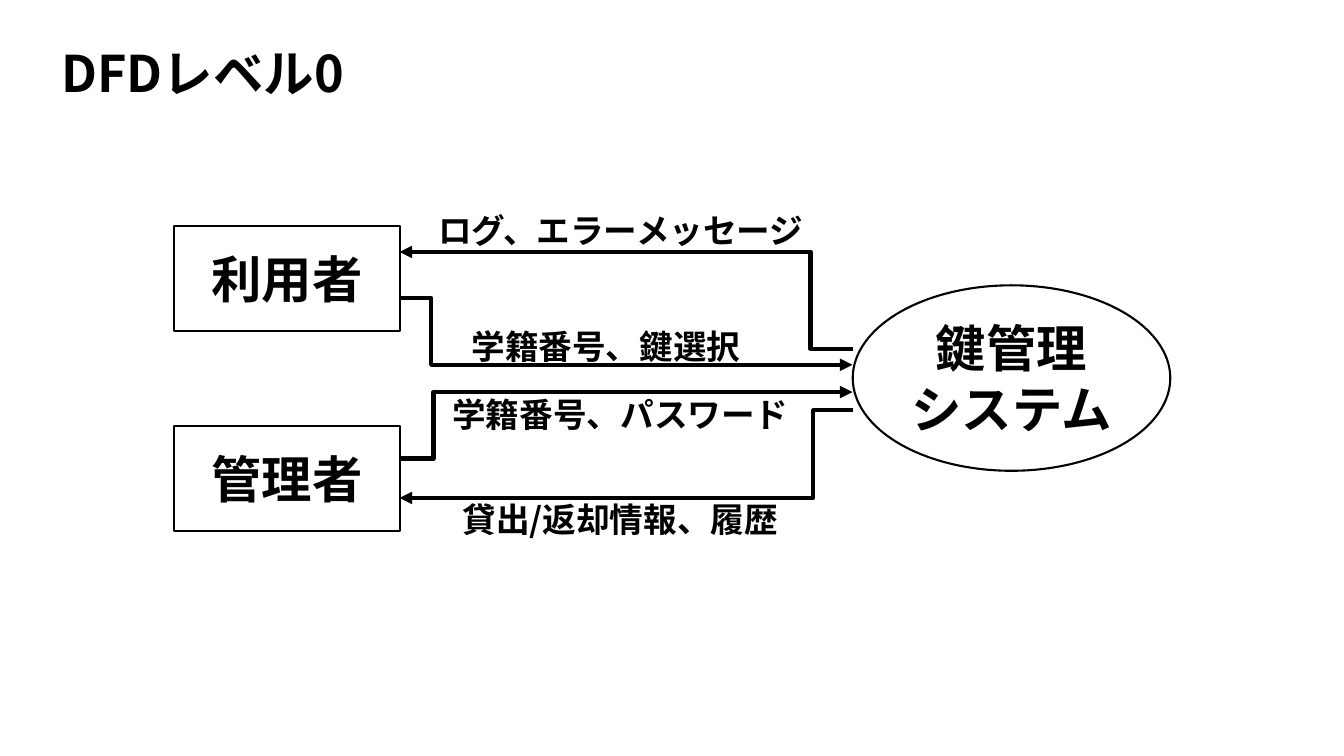
from dataclasses import dataclass

from lxml.etree import SubElement
from pptx import Presentation
from pptx.dml.color import RGBColor
from pptx.enum.shapes import MSO_CONNECTOR, MSO_SHAPE
from pptx.enum.text import MSO_ANCHOR, MSO_AUTO_SIZE, PP_ALIGN
from pptx.oxml.ns import qn
from pptx.util import Pt


@dataclass(frozen=True)
class Theme:
    font: str = "Noto Sans CJK JP"
    ink: RGBColor = RGBColor(0, 0, 0)
    paper: RGBColor = RGBColor(255, 255, 255)
    large: int = 36
    label: int = 24
    outline: float = 1.5
    flow: float = 3


THEME = Theme()

# Horizontal ends shared by all data flows
ENTITY_EDGE = 285.4
SYSTEM_EDGE = 609


def set_format(target, values):
    for name, value in values.items():
        setattr(target, name, value)


def write_text(frame, lines, size, align, anchor):
    set_format(frame, {"word_wrap": True, "vertical_anchor": anchor})
    for index, line in enumerate(lines):
        para = frame.paragraphs[0] if index == 0 else frame.add_paragraph()
        para.alignment = align
        span = para.add_run()
        span.text = line
        set_format(span.font, {"name": THEME.font, "size": Pt(size), "bold": True})
        span.font.color.rgb = THEME.ink
        # Japanese glyphs take the East Asian typeface
        SubElement(span.font._element, qn("a:ea"), typeface=THEME.font)


def add_title(page, text, left, top, width, height):
    title = page.shapes.title
    set_format(title, {"left": Pt(left), "top": Pt(top),
                       "width": Pt(width), "height": Pt(height)})
    write_text(title.text_frame, [text], THEME.large, PP_ALIGN.LEFT, MSO_ANCHOR.TOP)
    title.text_frame.auto_size = MSO_AUTO_SIZE.SHAPE_TO_FIT_TEXT


def add_node(page, kind, lines, left, top, width, height):
    node = page.shapes.add_shape(kind, Pt(left), Pt(top), Pt(width), Pt(height))
    node.shadow.inherit = False
    node.fill.solid()
    node.fill.fore_color.rgb = THEME.paper
    node.line.color.rgb = THEME.ink
    node.line.width = Pt(THEME.outline)
    write_text(node.text_frame, lines, THEME.large, PP_ALIGN.CENTER, MSO_ANCHOR.MIDDLE)


def add_label(page, text, left, top, width):
    box = page.shapes.add_textbox(Pt(left), Pt(top), Pt(width), Pt(36))
    write_text(box.text_frame, [text], THEME.label, PP_ALIGN.LEFT, MSO_ANCHOR.TOP)
    box.text_frame.auto_size = MSO_AUTO_SIZE.SHAPE_TO_FIT_TEXT


def add_flow(page, start_x, start_y, end_x, end_y, bend_x):
    flow = page.shapes.add_connector(
        MSO_CONNECTOR.ELBOW, Pt(start_x), Pt(start_y), Pt(end_x), Pt(end_y))
    flow.line.color.rgb = THEME.ink
    flow.line.width = Pt(THEME.flow)
    properties = flow._element.spPr
    # Arrowhead, no shadow, and the place of the bend
    SubElement(flow.line._get_or_add_ln(), qn("a:tailEnd"), type="triangle")
    SubElement(properties, qn("a:effectLst"))
    bend = round((bend_x - start_x) / (end_x - start_x) * 100000)
    guides = properties.find(qn("a:prstGeom")).get_or_add_avLst()
    SubElement(guides, qn("a:gd"), name="adj1", fmla=f"val {bend}")


def main():
    deck = Presentation()
    set_format(deck, {"slide_width": Pt(960), "slide_height": Pt(540)})
    page = deck.slides.add_slide(deck.slide_layouts[5])
    add_title(page, "DFDレベル0", 36.7, 26.6, 248.4, 51)

    # External entities and the system
    for name, top in (("利用者", 161.3), ("管理者", 304.6)):
        add_node(page, MSO_SHAPE.RECTANGLE, [name], 124.5, top, 161.3, 74.9)
    add_node(page, MSO_SHAPE.OVAL, ["鍵管理", "システム"], 609.1, 203.8, 226.8, 132.5)

    # Data flows into the system, then out of it
    for start_y, end_y, bend_x in ((213.1, 260.6, 308.2), (327.6, 280.1, 309.6)):
        add_flow(page, ENTITY_EDGE, start_y, SYSTEM_EDGE, end_y, bend_x)
    for start_y, end_y, bend_x in ((249.1, 180, 578.9), (293, 355.7, 581)):
        add_flow(page, SYSTEM_EDGE, start_y, ENTITY_EDGE, end_y, bend_x)

    # Names of the data flows
    for text, left, top, width in (
        ("ログ、エラーメッセージ", 306, 146.2, 280.8),
        ("学籍番号、鍵選択", 329.8, 229, 208.8),
        ("学籍番号、パスワード", 316.1, 277.9, 261.4),
        ("貸出/返却情報、履歴", 323.3, 352.8, 248.4),
    ):
        add_label(page, text, left, top, width)

    deck.save("out.pptx")


if __name__ == "__main__":
    main()
